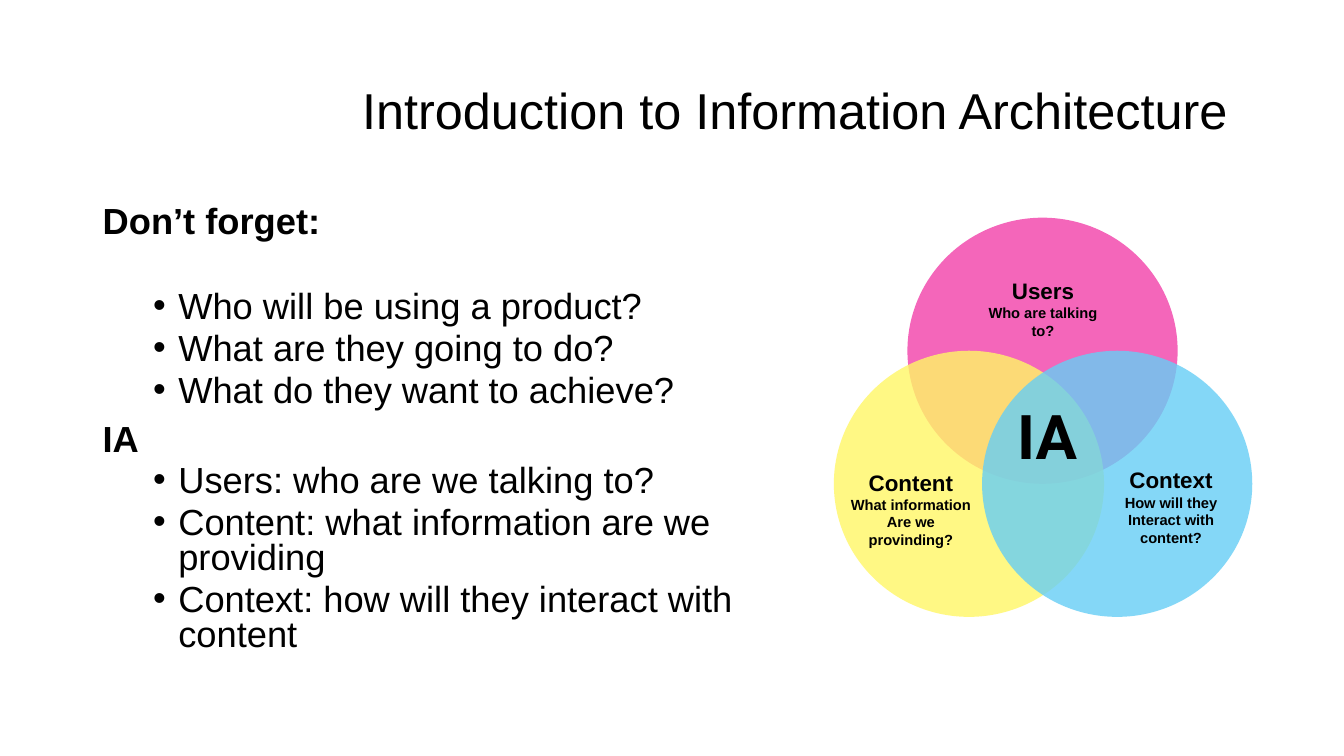
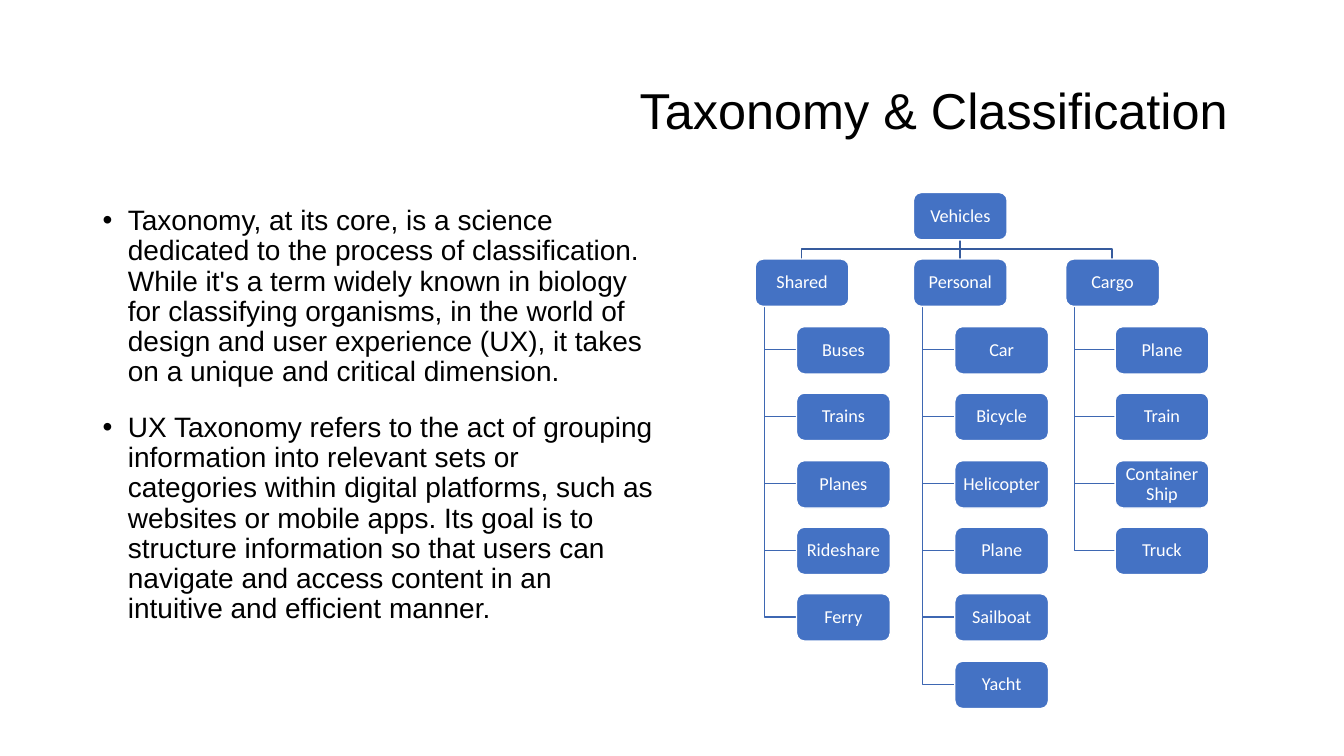
from lxml.etree import SubElement
from pptx import Presentation
from pptx.dml.color import RGBColor
from pptx.enum.shapes import MSO_SHAPE
from pptx.enum.text import MSO_ANCHOR, MSO_AUTO_SIZE, PP_ALIGN
from pptx.oxml.ns import qn
from pptx.util import Pt

PX = 9144  # EMU per px, 100 px to the inch
SLIDE_SIZE = (1333, 750)
TITLE_BOX = (92, 40, 1150, 145)
TITLE_ONLY = 5

BLACK, WHITE = "000000", "FFFFFF"
NODE_FILL, ROOT_LINE, BRANCH_LINE = "4472C4", "365B9D", "3E67B2"

REMINDERS = [
    ("Don’t forget:", [
        "Who will be using a product?",
        "What are they going to do?",
        "What do they want to achieve?",
    ]),
    ("IA", [
        "Users: who are we talking to?",
        "Content: what information are we providing",
        "Context: how will they interact with content",
    ]),
]
REMINDERS_BOX = (92, 200, 708, 464)

CIRCLE_SIZE = (268, 264)
# left, top, colour, opacity in percent
CIRCLES = [
    (900, 216, "F466BA", 100),
    (827, 348, "FFF766", 80),
    (974, 348, "66CEF5", 80),
]
# box, heading, lines below
CIRCLE_LABELS = [
    ((961, 270, 147, 55), "Users", ["Who are talking to?"]),
    ((830, 460, 147, 72), "Content", ["What information", "Are we provinding?"]),
    ((1080, 458, 163, 72), "Context", ["How will they", "Interact with content?"]),
]
CENTRE_BOX = (997, 390, 83, 84)

TAXONOMY = [
    "Taxonomy, at its core, is a science dedicated to the process of classification. "
    "While it's a term widely known in biology for classifying organisms, in the world "
    "of design and user experience (UX), it takes on a unique and critical dimension.",
    "UX Taxonomy refers to the act of grouping information into relevant sets or "
    "categories within digital platforms, such as websites or mobile apps. Its goal is "
    "to structure information so that users can navigate and access content in an "
    "intuitive and efficient manner.",
]
TAXONOMY_BOX = (92, 200, 567, 476)

NODE_WIDTH, NODE_HEIGHT = 93, 47
TREE_TOP, ROW_PITCH = 191, 66.4
TRUNK_INSET = 9
ROOT = ("Vehicles", 906)
# heading, its left, left of its members, members
BRANCHES = [
    ("Shared", 749, 790, ["Buses", "Trains", "Planes", "Rideshare", "Ferry"]),
    ("Personal", 906, 947,
     ["Car", "Bicycle", "Helicopter", "Plane", "Sailboat", "Yacht"]),
    ("Cargo", 1057, 1106, ["Plane", "Train", "Container Ship", "Truck"]),
]


def emu(lengths):
    return [round(length * PX) for length in lengths]


def color(value):
    return RGBColor.from_string(value)


def set_margins(frame, left, top, right, bottom):
    (frame.margin_left, frame.margin_top,
     frame.margin_right, frame.margin_bottom) = emu((left, top, right, bottom))


def write(frame, text, size, font="Arial", fill=BLACK, bold=False, align=PP_ALIGN.LEFT,
          line=1.0, before=0, after=0, indent=None):
    """Add a paragraph; an indent in px makes it a bullet with a 25 px hang."""
    para = frame.paragraphs[0]
    if para.runs:
        para = frame.add_paragraph()
        para.space_before = Pt(before)
    para.alignment = align
    para.line_spacing = line
    para.space_after = Pt(after)
    if indent is not None:
        properties = para._p.get_or_add_pPr()
        properties.set("marL", str(indent * PX))
        properties.set("indent", str(-25 * PX))
        SubElement(properties, qn("a:buFont"), typeface="Arial")
        SubElement(properties, qn("a:buChar"), char="•")
    span = para.add_run()
    span.text = text
    span.font.size = Pt(size)
    span.font.name = font
    span.font.bold = bold
    span.font.color.rgb = color(fill)


def add_frame(page, box, wrap=True):
    frame = page.shapes.add_textbox(*emu(box)).text_frame
    frame.word_wrap = wrap
    return frame


def add_page(deck, title):
    page = deck.slides.add_slide(deck.slide_layouts[TITLE_ONLY])
    holder = page.shapes.title
    holder.left, holder.top, holder.width, holder.height = emu(TITLE_BOX)
    frame = holder.text_frame
    frame.auto_size = MSO_AUTO_SIZE.NONE
    frame.vertical_anchor = MSO_ANCHOR.MIDDLE
    set_margins(frame, 10, 5, 24, 5)
    write(frame, title, 36, align=PP_ALIGN.RIGHT, line=0.9)
    return page


def add_filled(page, preset, box, fill, opacity=100):
    shape = page.shapes.add_shape(preset, *emu(box))
    shape.shadow.inherit = False
    shape.fill.solid()
    shape.fill.fore_color.rgb = color(fill)
    shape.line.fill.background()
    if opacity < 100:
        value = shape._element.spPr.find(qn("a:solidFill"))[0]
        SubElement(value, qn("a:alpha"), val=str(opacity * 1000))
    return shape


def add_path(page, points, stroke):
    builder = page.shapes.build_freeform(*points[0], scale=PX)
    builder.add_line_segments(points[1:], close=False)
    path = builder.convert_to_shape()
    path.shadow.inherit = False
    path.fill.background()
    path.line.color.rgb = color(stroke)
    path.line.width = Pt(1)


def row_top(row):
    return round(TREE_TOP + ROW_PITCH * row)


def add_node(page, text, left, row):
    node = add_filled(page, MSO_SHAPE.FLOWCHART_ALTERNATE_PROCESS,
                      (left, row_top(row), NODE_WIDTH, NODE_HEIGHT), NODE_FILL)
    node.line.color.rgb = color(WHITE)
    node.line.width = Pt(1)
    frame = node.text_frame
    frame.word_wrap = True
    frame.vertical_anchor = MSO_ANCHOR.MIDDLE
    set_margins(frame, 1, 1, 1, 1)
    write(frame, text, 13, font="Calibri", fill=WHITE, align=PP_ALIGN.CENTER, line=0.9)


def add_tree(page):
    root_text, root_left = ROOT
    root_x = root_left + NODE_WIDTH // 2
    root_bottom, heading_top = row_top(0) + NODE_HEIGHT, row_top(1)
    bus_y = (root_bottom + heading_top) // 2
    nodes = [(root_text, root_left, 0)]
    for heading, left, member_left, members in BRANCHES:
        heading_x = left + NODE_WIDTH // 2
        add_path(page, [(root_x, root_bottom), (root_x, bus_y),
                        (heading_x, bus_y), (heading_x, heading_top)], ROOT_LINE)
        nodes.append((heading, left, 1))
        trunk_x = left + TRUNK_INSET
        for row, member in enumerate(members, start=2):
            middle = row_top(row) + NODE_HEIGHT // 2
            add_path(page, [(trunk_x, heading_top + NODE_HEIGHT), (trunk_x, middle),
                            (member_left, middle)], BRANCH_LINE)
            nodes.append((member, member_left, row))
    for node in nodes:
        add_node(page, *node)


def add_introduction(deck):
    page = add_page(deck, "Introduction to Information Architecture")
    body = add_frame(page, REMINDERS_BOX)
    for number, (heading, items) in enumerate(REMINDERS):
        write(body, heading, 25.9, bold=True, line=0.8, before=10,
              after=31 if number == 0 else 0)
        for item in items:
            write(body, item, 25.9, line=0.8, before=5, indent=75)
    for left, top, fill, opacity in CIRCLES:
        add_filled(page, MSO_SHAPE.OVAL, (left, top, *CIRCLE_SIZE), fill, opacity)
    for box, heading, lines in CIRCLE_LABELS:
        label = add_frame(page, box)
        write(label, heading, 16, bold=True, align=PP_ALIGN.CENTER)
        for text in lines:
            write(label, text, 10.5, bold=True, align=PP_ALIGN.CENTER)
    centre = add_frame(page, CENTRE_BOX, wrap=False)
    write(centre, "IA", 44, font="Roboto", bold=True, align=PP_ALIGN.CENTER)


def add_taxonomy(deck):
    page = add_page(deck, "Taxonomy & Classification")
    body = add_frame(page, TAXONOMY_BOX)
    for text in TAXONOMY:
        write(body, text, 20, line=0.9, before=9, after=9, indent=25)
    add_tree(page)


def main():
    deck = Presentation()
    deck.slide_width, deck.slide_height = emu(SLIDE_SIZE)
    add_introduction(deck)
    add_taxonomy(deck)
    deck.save("out.pptx")


if __name__ == "__main__":
    main()
